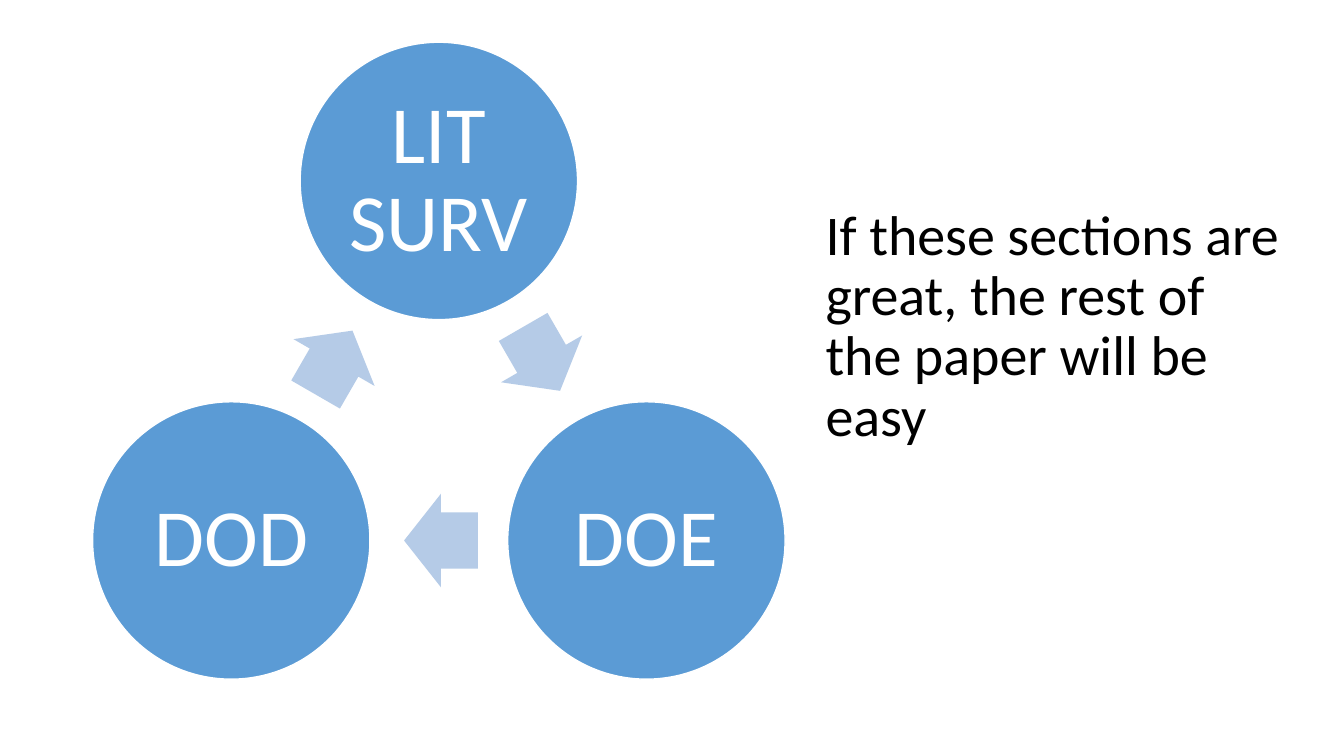
"""Builds a slide with a three-step cycle beside a takeaway sentence."""
from dataclasses import dataclass
from math import cos, radians, sin

from lxml import etree
from pptx import Presentation
from pptx import util as u
from pptx.dml.color import RGBColor
from pptx.enum import shapes, text
from pptx.oxml.ns import qn


@dataclass(frozen=True)
class Theme:
    """Colours, font and type sizes."""
    ink: RGBColor = RGBColor(0x00, 0x00, 0x00)
    paper: RGBColor = RGBColor(0xFF, 0xFF, 0xFF)
    section: RGBColor = RGBColor(0x5B, 0x9B, 0xD5)
    arrow: RGBColor = RGBColor(0xB5, 0xCB, 0xE7)
    font: str = "Calibri"
    takeaway_size: int = 40
    section_size: int = 58


def apply_format(target, values):
    """Set every attribute in values on target."""
    for attribute, value in values.items():
        setattr(target, attribute, value)


def on_ring(center, radius, angle):
    """Return the point at an angle in degrees on a ring."""
    x, y = center
    return x + radius * cos(radians(angle)), y + radius * sin(radians(angle))


class CycleSlide:
    """Holds the theme and the slide being built."""

    def __init__(self, deck, theme):
        """Add a title-and-content slide without its title."""
        self.theme = theme
        self.slide = deck.slides.add_slide(deck.slide_layouts[1])
        heading = self.slide.shapes.title.element
        heading.getparent().remove(heading)

    def set_wording(self, paragraph, wording, size, color, align):
        """Fill and format one paragraph."""
        paragraph.text = wording
        apply_format(paragraph, {
            "alignment": align, "line_spacing": 0.9, "space_before": u.Pt(0)})
        apply_format(paragraph.font, {"name": self.theme.font, "size": u.Pt(size)})
        paragraph.font.color.rgb = color

    def takeaway(self, wording, left, top, width, height):
        """Place the sentence in the body placeholder, without a bullet."""
        body = self.slide.placeholders[1]
        apply_format(body, {
            "left": u.Cm(left), "top": u.Cm(top),
            "width": u.Cm(width), "height": u.Cm(height)})
        apply_format(body.text_frame, {
            "word_wrap": True, "auto_size": text.MSO_AUTO_SIZE.NONE,
            "vertical_anchor": text.MSO_ANCHOR.TOP})
        sentence = body.text_frame.paragraphs[0]
        properties = sentence._p.get_or_add_pPr()
        properties.set("marL", "0")
        properties.set("indent", "0")
        etree.SubElement(properties, qn("a:buNone"))
        self.set_wording(sentence, wording, self.theme.takeaway_size,
                         self.theme.ink, text.PP_ALIGN.LEFT)

    def centered_shape(self, preset, center, width, height, fill):
        """Add a filled preset shape around a centre point."""
        x, y = center
        shape = self.slide.shapes.add_shape(
            preset, u.Cm(x - width / 2), u.Cm(y - height / 2),
            u.Cm(width), u.Cm(height))
        shape.shadow.inherit = False
        shape.fill.solid()
        shape.fill.fore_color.rgb = fill
        return shape

    def section(self, label, center, diameter):
        """Add a labelled section circle."""
        circle = self.centered_shape(shapes.MSO_SHAPE.OVAL, center, diameter,
                                     diameter, self.theme.section)
        circle.line.color.rgb = self.theme.paper
        circle.line.width = u.Pt(1)
        margin = u.Cm(0.2)
        apply_format(circle.text_frame, {
            "word_wrap": True, "vertical_anchor": text.MSO_ANCHOR.MIDDLE,
            "margin_left": margin, "margin_right": margin,
            "margin_top": margin, "margin_bottom": margin})
        self.set_wording(circle.text_frame.paragraphs[0], label,
                         self.theme.section_size, self.theme.paper,
                         text.PP_ALIGN.CENTER)

    def arrow(self, center, rotation):
        """Add a block arrow leading to the next section."""
        pointer = self.centered_shape(shapes.MSO_SHAPE.RIGHT_ARROW, center,
                                      1.86, 2.36, self.theme.arrow)
        pointer.line.fill.background()
        pointer.rotation = rotation
        pointer.adjustments[0] = 0.6
        pointer.adjustments[1] = 0.5

    def cycle(self, labels, center, radius, arrow_radius, diameter):
        """Space the sections and their arrows evenly, clockwise from the top."""
        step = 360 / len(labels)
        for index, label in enumerate(labels):
            turn = index * step
            self.section(label, on_ring(center, radius, turn - 90), diameter)
            self.arrow(on_ring(center, arrow_radius, turn - 31), turn + step / 2)


def main():
    """Build and save the deck."""
    deck = Presentation()
    deck.slide_width, deck.slide_height = u.Cm(33.87), u.Cm(19.05)
    page = CycleSlide(deck, Theme())
    page.takeaway("If these sections are great, the rest of the paper will be easy",
                  left=20.55, top=5.08, width=12.22, height=12.09)
    page.cycle(["LIT SURV", "DOE", "DOD"], center=(11.06, 10.6),
               radius=6.04, arrow_radius=3.02, diameter=6.99)
    deck.save("out.pptx")


if __name__ == "__main__":
    main()
